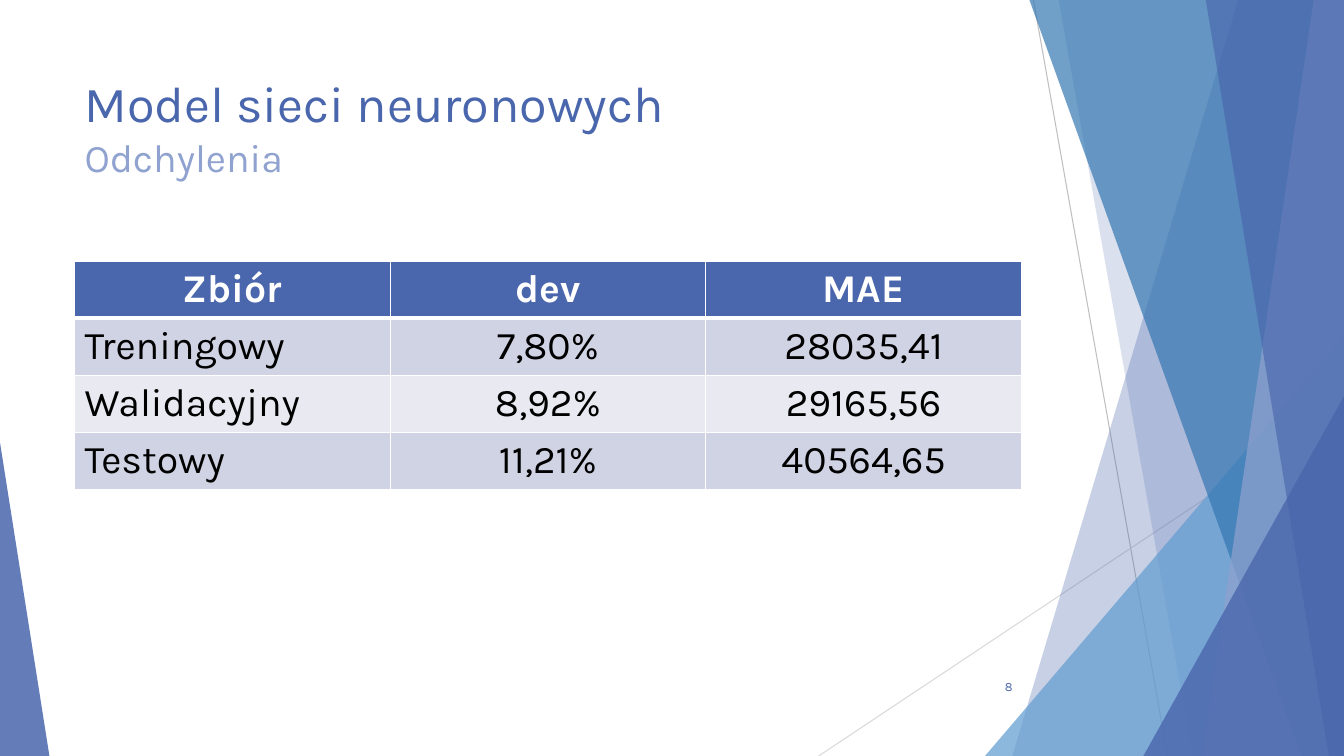
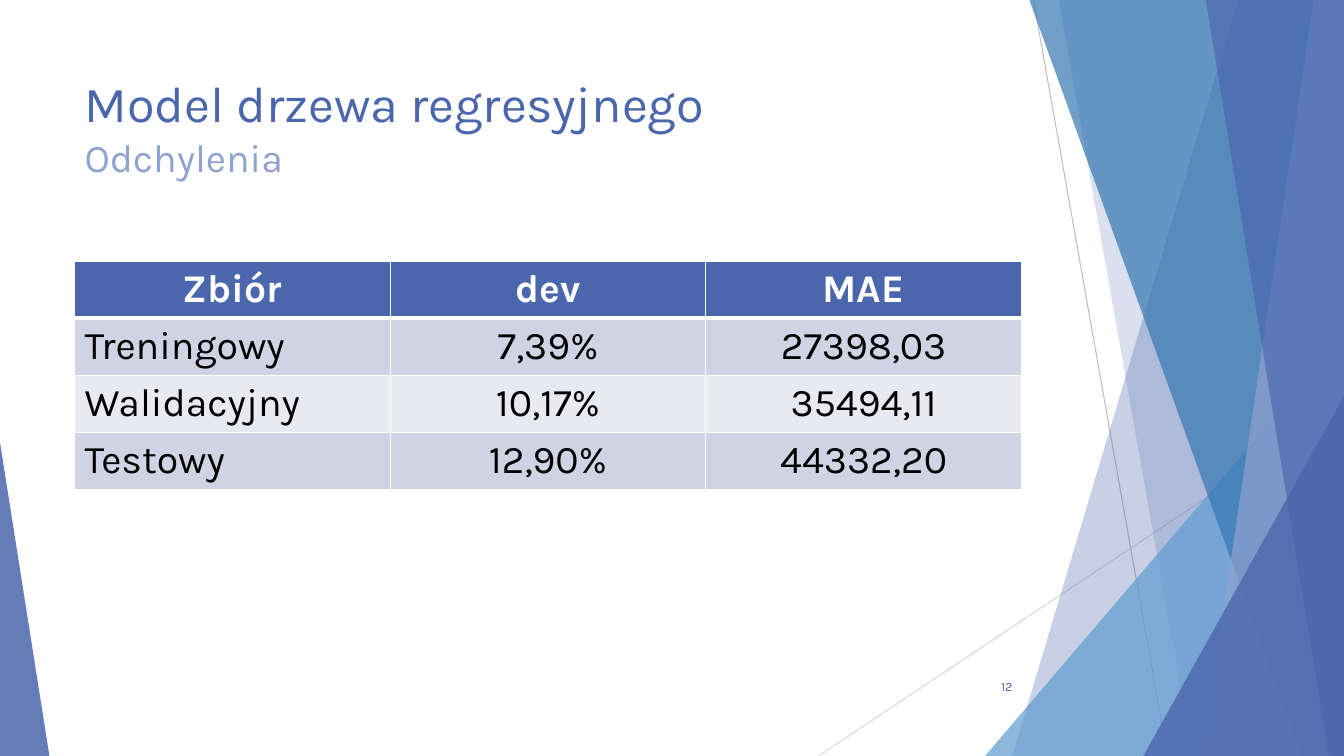
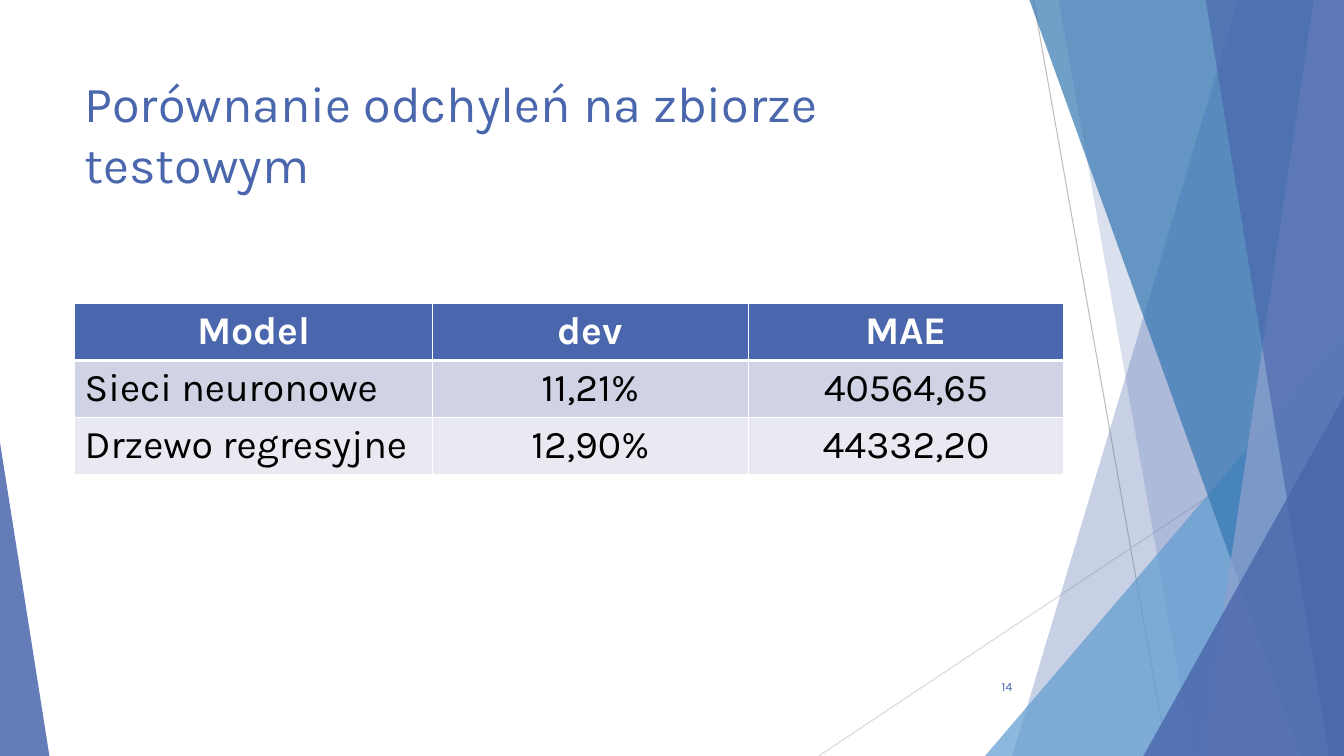
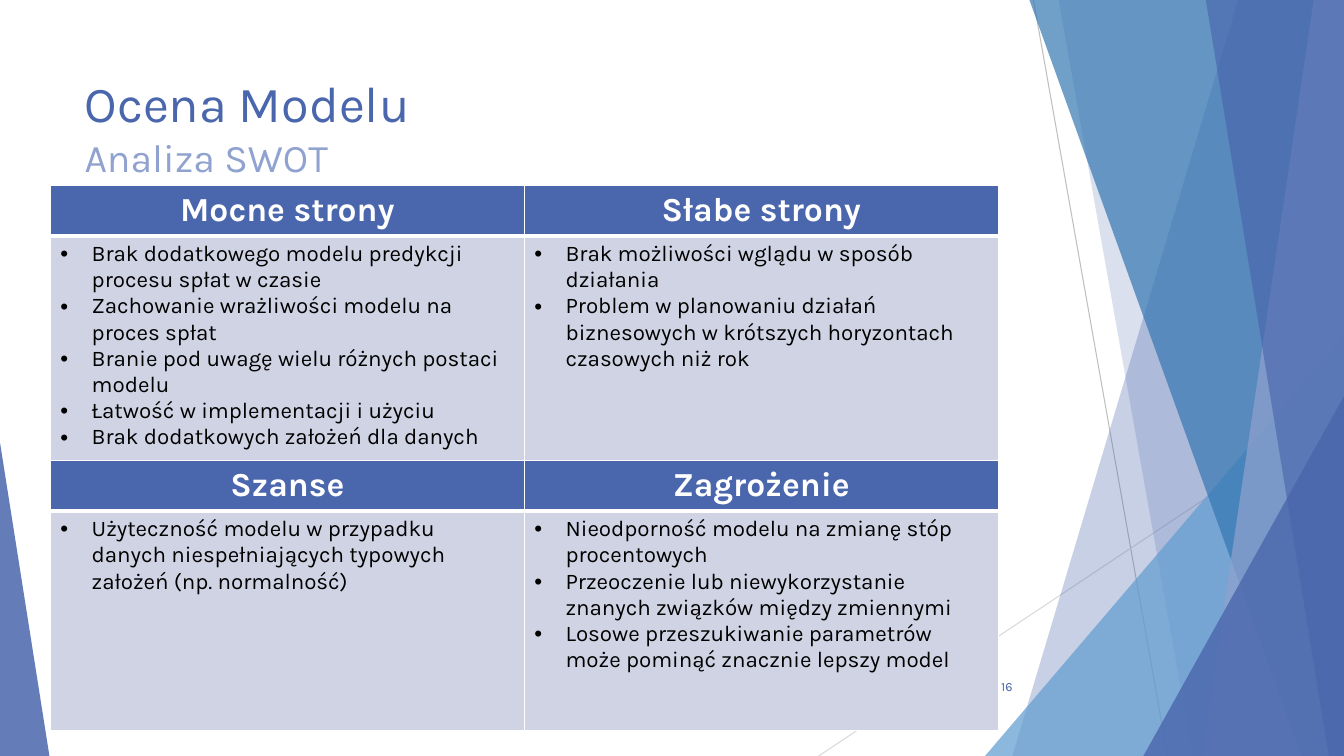
from lxml import etree
from pptx import Presentation
from pptx.dml.color import RGBColor
from pptx.enum.shapes import MSO_CONNECTOR, MSO_SHAPE
from pptx.enum.text import MSO_ANCHOR, PP_ALIGN
from pptx.oxml.ns import qn
from pptx.util import Inches, Pt

LEFT, CENTER, RIGHT = PP_ALIGN.LEFT, PP_ALIGN.CENTER, PP_ALIGN.RIGHT
TOP, MIDDLE = MSO_ANCHOR.TOP, MSO_ANCHOR.MIDDLE
TRIANGLE, STRAIGHT = MSO_SHAPE.ISOSCELES_TRIANGLE, MSO_CONNECTOR.STRAIGHT

# Colours and sizes
BLUE = RGBColor(0x4A, 0x66, 0xAC)
SKY = RGBColor(0x62, 0x9D, 0xD1)
OCEAN = RGBColor(0x34, 0x77, 0xB2)
LAVENDER = RGBColor(0x90, 0xA2, 0xCF)
BAND_DARK = RGBColor(0xD0, 0xD3, 0xE3)
BAND_LIGHT = RGBColor(0xE9, 0xEA, 0xF1)
GREY = RGBColor(0xBF, 0xBF, 0xBF)
PALE_GREY = RGBColor(0xD9, 0xD9, 0xD9)
WHITE = RGBColor(0xFF, 0xFF, 0xFF)
BLACK = RGBColor(0, 0, 0)
FONT = "Karla"
WIDTH, HEIGHT = 13.33, 7.5

# Text formats
TITLE = {"size": Pt(36), "color": BLUE}
SUBTITLE = {"size": Pt(28), "color": LAVENDER}
NUMBER = {"size": Pt(9), "color": BLUE}
HEADER = {"size": Pt(28), "color": WHITE, "bold": True}
BODY = {"size": Pt(28), "color": BLACK, "bold": False}
SWOT_HEADER = {**HEADER, "size": Pt(24)}
SWOT_BODY = {**BODY, "size": Pt(16)}

# Decoration, from back to front
THIN_LINES = [((10.25, 0), (11.58, HEIGHT), GREY),
              ((WIDTH, 4.03), (8.12, HEIGHT), PALE_GREY)]
# Bands reach the right edge: ("band", top x, bottom x, colour, opacity)
# Triangles stand on the bottom edge: ("triangle", left, top, width, apex, colour, opacity)
FACETS = [
    ("band", 12.28, 10.04, BLUE, 30),
    ("band", 10.5, 11.83, BLUE, 20),
    ("triangle", 9.77, 3.33, 3.56, 1, SKY, 72),
    ("band", 10.21, 12.91, OCEAN, 70),
    ("band", 13.03, 11.92, LAVENDER, 70),
    ("band", 11.96, 13.18, BLUE, 65),
    ("triangle", 11.34, 3.93, 1.99, 1, BLUE, 80),
    ("triangle", 0, 4.39, 0.49, 0, BLUE, 85),
]

# Content
RESULT_SLIDES = [
    {"title": "Model sieci neuronowych", "subtitle": "Odchylenia", "number": "8",
     "top": 2.59, "columns": [3.13, 3.13, 3.13],
     "rows": [("Zbiór", "dev", "MAE"),
              ("Treningowy", "7,80%", "28035,41"),
              ("Walidacyjny", "8,92%", "29165,56"),
              ("Testowy", "11,21%", "40564,65")]},
    {"title": "Model drzewa regresyjnego", "subtitle": "Odchylenia", "number": "12",
     "top": 2.59, "columns": [3.13, 3.13, 3.13],
     "rows": [("Zbiór", "dev", "MAE"),
              ("Treningowy", "7,39%", "27398,03"),
              ("Walidacyjny", "10,17%", "35494,11"),
              ("Testowy", "12,90%", "44332,20")]},
    {"title": "Porównanie odchyleń na zbiorze testowym", "subtitle": None, "number": "14",
     "top": 3.01, "columns": [3.55, 3.13, 3.13],
     "rows": [("Model", "dev", "MAE"),
              ("Sieci neuronowe", "11,21%", "40564,65"),
              ("Drzewo regresyjne", "12,90%", "44332,20")]},
]
SWOT_TITLE, SWOT_SUBTITLE, SWOT_NUMBER = "Ocena Modelu", "Analiza SWOT", "16"
SWOT_TABLES = [
    (1.84, [("Mocne strony", "Słabe strony"),
            (["Brak dodatkowego modelu predykcji procesu spłat w czasie",
              "Zachowanie wrażliwości modelu na proces spłat",
              "Branie pod uwagę wielu różnych postaci modelu",
              "Łatwość w implementacji i użyciu",
              "Brak dodatkowych założeń dla danych"],
             ["Brak możliwości wglądu w sposób działania",
              "Problem w planowaniu działań biznesowych w krótszych "
              "horyzontach czasowych niż rok"])]),
    (4.57, [("Szanse", "Zagrożenie"),
            (["Użyteczność modelu w przypadku danych niespełniających "
              "typowych założeń (np. normalność)"],
             ["Nieodporność modelu na zmianę stóp procentowych",
              "Przeoczenie lub niewykorzystanie znanych związków między zmiennymi",
              "Losowe przeszukiwanie parametrów może pominąć znacznie lepszy model"])]),
]


# Text helpers
def add_run(paragraph, text, text_format):
    run = paragraph.add_run()
    run.text = text
    run.font.name = FONT
    for name, value in text_format.items():
        if name == "color":
            run.font.color.rgb = value
        else:
            setattr(run.font, name, value)


def add_text_box(slide, box, anchor, alignment):
    frame = slide.shapes.add_textbox(*map(Inches, box)).text_frame
    frame.word_wrap = True
    frame.vertical_anchor = anchor
    frame.paragraphs[0].alignment = alignment
    return frame.paragraphs[0]


def add_bullet(paragraph):
    properties = paragraph._p.get_or_add_pPr()
    properties.set("marL", str(Inches(0.31)))
    properties.set("indent", str(-Inches(0.31)))
    etree.SubElement(properties, qn("a:buFont")).set("typeface", "Arial")
    etree.SubElement(properties, qn("a:buChar")).set("char", "•")


# Shared decoration, kept on the blank layout
def add_facet(shapes, kind, *values):
    *geometry, color, opacity = values
    if kind == "band":
        top_x, bottom_x = geometry
        builder = shapes.build_freeform(Inches(top_x), 0, scale=1.0)
        corners = [(WIDTH, 0), (WIDTH, HEIGHT), (bottom_x, HEIGHT)]
        builder.add_line_segments([(Inches(x), Inches(y)) for x, y in corners], close=True)
        shape = builder.convert_to_shape()
    else:
        left, top, width, apex = geometry
        shape = shapes.add_shape(TRIANGLE, *map(Inches, (left, top, width, HEIGHT - top)))
        shape.adjustments[0] = apex
    shape.shadow.inherit = False
    shape.fill.solid()
    shape.fill.fore_color.rgb = color
    shape.line.fill.background()
    color_node = shape.element.spPr.find(qn("a:solidFill"))[0]
    etree.SubElement(color_node, qn("a:alpha")).set("val", str(opacity * 1000))


def decorate_layout(layout, slide):
    for placeholder in list(layout.placeholders):
        layout.shapes.element.remove(placeholder.element)
    for start, end, color in THIN_LINES:
        line = slide.shapes.add_connector(STRAIGHT, *map(Inches, start + end))
        line.line.color.rgb = color
        line.line.width = Pt(0.75)
        etree.SubElement(line.element.spPr, qn("a:effectLst"))
    for facet in FACETS:
        add_facet(slide.shapes, *facet)
    for shape in list(slide.shapes):
        layout.shapes.element.append(shape.element)


# Slide parts
def add_title(slide, title, subtitle):
    paragraph = add_text_box(slide, (0.74, 0.67, 9.4, 1.44), TOP, LEFT)
    add_run(paragraph, title, TITLE)
    if subtitle:
        paragraph.add_line_break()
        add_run(paragraph, subtitle, SUBTITLE)


def add_number(slide, number):
    add_run(add_text_box(slide, (9.39, 6.61, 0.75, 0.4), MIDDLE, RIGHT), number, NUMBER)


def set_borders(cell, row_index):
    widths = {"lnL": 1, "lnR": 1,
              "lnT": 3 if row_index == 1 else 1,
              "lnB": 3 if row_index == 0 else 1}
    properties = cell._tc.get_or_add_tcPr()
    for tag, width in widths.items():
        border = etree.SubElement(properties, qn("a:" + tag))
        border.set("w", str(Pt(width)))
        fill = etree.SubElement(border, qn("a:solidFill"))
        etree.SubElement(fill, qn("a:srgbClr")).set("val", str(WHITE))


def fill_cell(cell, content, row_index, column_index, text_format):
    set_borders(cell, row_index)
    cell.fill.solid()
    band = BAND_DARK if row_index % 2 else BAND_LIGHT
    cell.fill.fore_color.rgb = band if row_index else BLUE
    bulleted = isinstance(content, list)
    for index, text in enumerate(content if bulleted else [content]):
        frame = cell.text_frame
        paragraph = frame.add_paragraph() if index else frame.paragraphs[0]
        if bulleted:
            add_bullet(paragraph)
        elif row_index == 0 or column_index > 0:
            paragraph.alignment = CENTER
        add_run(paragraph, text, text_format)


def add_table(slide, left, top, columns, heights, rows, header, body):
    frame = slide.shapes.add_table(
        len(rows), len(columns),
        *map(Inches, (left, top, sum(columns), sum(heights))))
    table = frame.table
    for column, width in zip(table.columns, columns):
        column.width = Inches(width)
    for row_index, (row, height) in enumerate(zip(rows, heights)):
        table.rows[row_index].height = Inches(height)
        for column_index, content in enumerate(row):
            fill_cell(table.cell(row_index, column_index), content, row_index,
                      column_index, body if row_index else header)


# Build the presentation
presentation = Presentation()
presentation.slide_width = Inches(WIDTH)
presentation.slide_height = Inches(HEIGHT)
blank = presentation.slide_layouts[6]
slides = [presentation.slides.add_slide(blank) for _ in range(len(RESULT_SLIDES) + 1)]
decorate_layout(blank, slides[0])

for slide, result in zip(slides, RESULT_SLIDES):
    add_title(slide, result["title"], result["subtitle"])
    add_table(slide, 0.74, result["top"], result["columns"],
              [0.55] * len(result["rows"]), result["rows"], HEADER, BODY)
    add_number(slide, result["number"])

swot_slide = slides[-1]
add_title(swot_slide, SWOT_TITLE, SWOT_SUBTITLE)
for top, rows in SWOT_TABLES:
    add_table(swot_slide, 0.5, top, [4.7, 4.7], [0.49, 2.18], rows, SWOT_HEADER, SWOT_BODY)
add_number(swot_slide, SWOT_NUMBER)

presentation.save("out.pptx")
